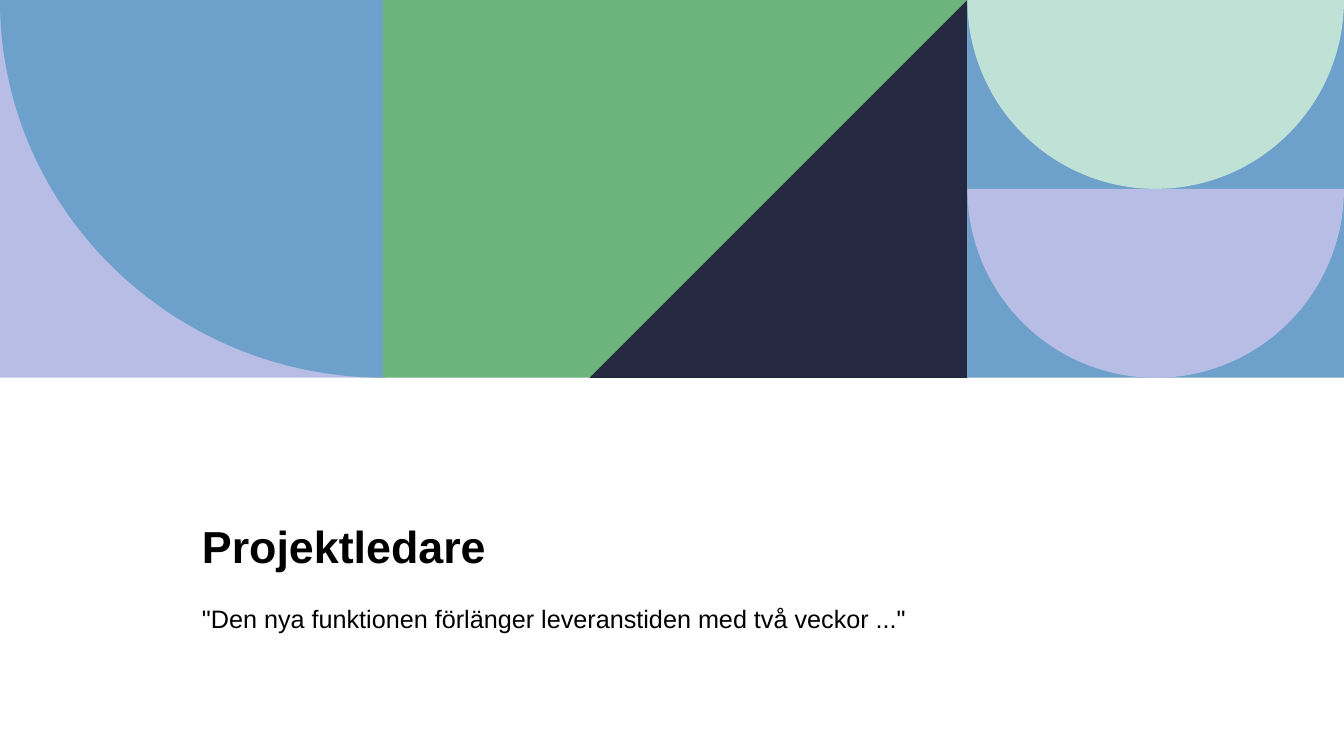
import pptx
import pptx.dml.color
import pptx.enum.shapes
import pptx.enum.text
import pptx.oxml.ns
import pptx.util
import lxml.etree

Cm = pptx.util.Cm

WIDTH, HEIGHT = 33.87, 19.05
BAND = 9.52
QUARTER_WIDTH = 9.7
GREEN_LEFT, TILE_LEFT = 9.65, 24.38
TILE_WIDTH = WIDTH - TILE_LEFT
TILE_CENTER = TILE_LEFT + TILE_WIDTH / 2
BLUE, LILAC, GREEN = "6DA0CB", "B8BDE6", "6BB47B"
MINT, NAVY, BLACK, WHITE = "C0E1D5", "242841", "000000", "FFFFFF"
ARC_RATIO = 0.5523

HALF_CIRCLES = [MINT, LILAC]
TEXTS = [
    ("Projektledare", 11.43, 3.12, 32, True, 1.1, "BOTTOM"),
    ('"Den nya funktionen förlänger leveranstiden med två veckor ..."',
     14.93, 1.88, 18, False, 1.2, "TOP"),
]
TEXT_LEFT, TEXT_WIDTH = 4.84, 24.05


def color(value):
    return pptx.dml.color.RGBColor.from_string(value)


def paint(shape, fill):
    shape.shadow.inherit = False
    shape.fill.solid()
    shape.fill.fore_color.rgb = color(fill)
    shape.line.fill.background()


def add_block(slide, left, width, height, fill):
    shape = slide.shapes.add_shape(
        pptx.enum.shapes.MSO_SHAPE.RECTANGLE, Cm(left), 0, Cm(width), Cm(height))
    paint(shape, fill)


def bend(shape, start, end, line):
    corner = (min(start, end, key=lambda point: point[1])[0],
              max(start[1], end[1]))
    controls = [tuple(p + ARC_RATIO * (c - p) for p, c in zip(point, corner))
                for point in (start, end)]
    qn = pptx.oxml.ns.qn
    curve = lxml.etree.Element(qn("a:cubicBezTo"))
    for x, y in controls + [end]:
        lxml.etree.SubElement(curve, qn("a:pt"), x=str(Cm(x) - shape.left),
                              y=str(Cm(y) - shape.top))
    line.getparent().replace(line, curve)


def add_outline(slide, points, fill, curved=()):
    corners = [(Cm(x), Cm(y)) for x, y in points]
    builder = slide.shapes.build_freeform(*corners[0])
    builder.add_line_segments(corners[1:], close=True)
    shape = builder.convert_to_shape()
    paint(shape, fill)
    lines = list(shape.element.iter(pptx.oxml.ns.qn("a:lnTo")))
    for index in curved:
        bend(shape, points[index - 1], points[index], lines[index - 1])


def add_text(slide, text, top, height, size, bold, spacing, anchor):
    box = slide.shapes.add_textbox(
        Cm(TEXT_LEFT), Cm(top), Cm(TEXT_WIDTH), Cm(height))
    frame = box.text_frame
    frame.word_wrap = True
    frame.vertical_anchor = pptx.enum.text.MSO_ANCHOR[anchor]
    frame.text = text
    paragraph = frame.paragraphs[0]
    paragraph.line_spacing = spacing
    font = paragraph.runs[0].font
    font.name = "Arial"
    font.size = pptx.util.Pt(size)
    font.bold = bold
    font.color.rgb = color(BLACK)


def main():
    presentation = pptx.Presentation()
    presentation.slide_width = Cm(WIDTH)
    presentation.slide_height = Cm(HEIGHT)
    slide = presentation.slides.add_slide(presentation.slide_layouts[6])

    add_block(slide, 0, WIDTH, HEIGHT, WHITE)
    for text in TEXTS:
        add_text(slide, *text)

    add_block(slide, 0, QUARTER_WIDTH, BAND, LILAC)
    add_outline(slide, [(QUARTER_WIDTH, 0), (0, 0), (QUARTER_WIDTH, BAND)],
                BLUE, curved=[2])
    add_block(slide, GREEN_LEFT, TILE_LEFT - GREEN_LEFT, BAND, GREEN)
    add_outline(slide, [(TILE_LEFT, 0), (TILE_LEFT, BAND),
                        (TILE_LEFT - BAND, BAND)], NAVY)
    add_block(slide, TILE_LEFT, TILE_WIDTH, BAND, BLUE)

    radius = BAND / 2
    for row, fill in enumerate(HALF_CIRCLES):
        top = row * radius
        add_outline(slide, [(TILE_LEFT, top), (WIDTH, top),
                            (TILE_CENTER, top + radius), (TILE_LEFT, top)],
                    fill, curved=[2, 3])

    presentation.save("out.pptx")


if __name__ == "__main__":
    main()
